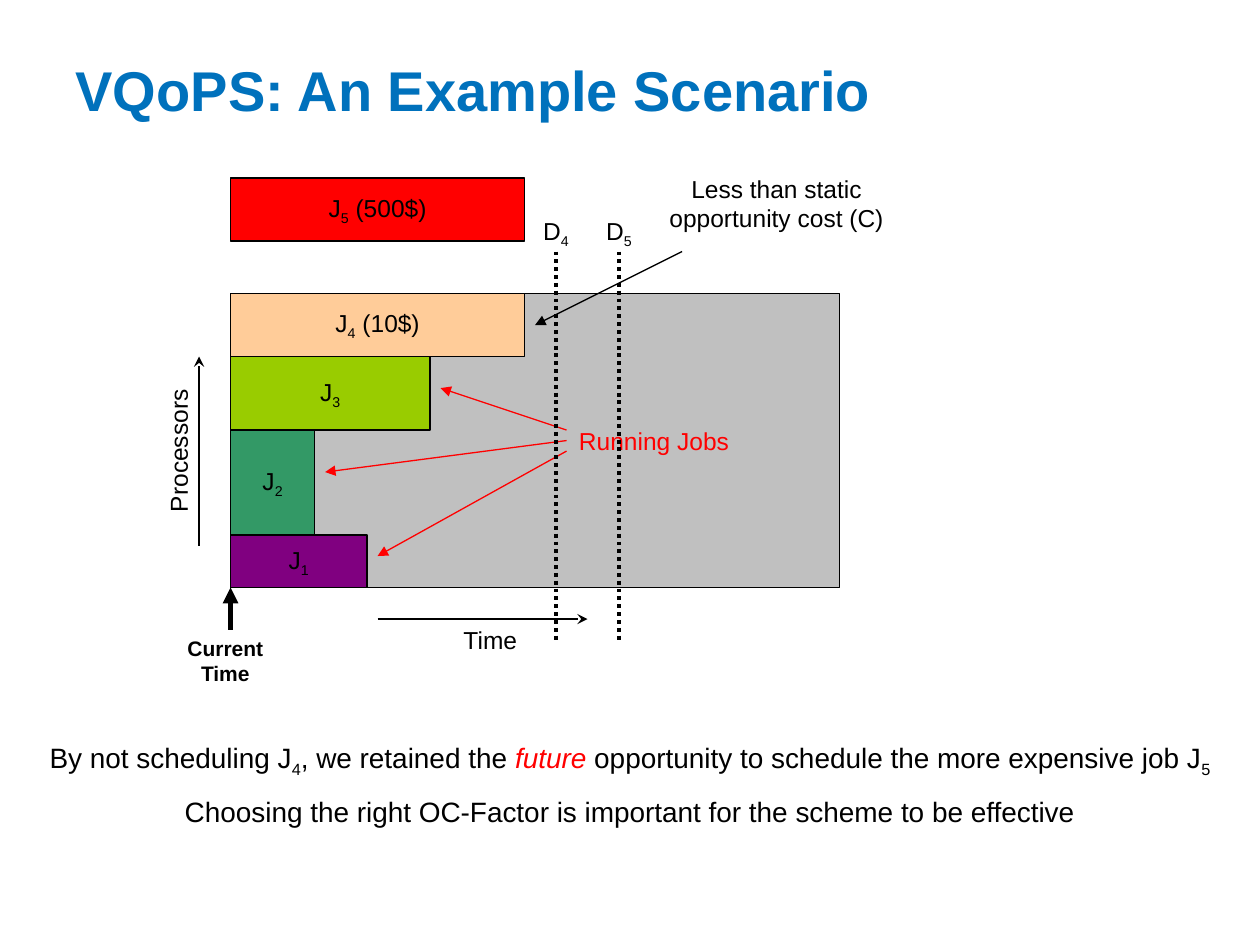
from dataclasses import dataclass

from lxml.etree import SubElement
from pptx import Presentation
from pptx.dml.color import RGBColor
from pptx.enum.dml import MSO_LINE
from pptx.enum.shapes import MSO_CONNECTOR, MSO_SHAPE
from pptx.enum.text import MSO_ANCHOR, PP_ALIGN
from pptx.oxml.ns import qn
from pptx.util import Inches, Pt


@dataclass(frozen=True)
class Theme:
    font: str = "Arial"
    title: str = "0071BC"
    ink: str = "000000"
    accent: str = "FF0000"
    area: str = "C0C0C0"
    j1: str = "800080"
    j2: str = "339966"
    j3: str = "99CC00"
    j4: str = "FFCC99"
    j5: str = "FF0000"
    title_size: int = 32
    note_size: int = 16
    label_size: int = 14
    small_size: int = 12


T = Theme()
GRID = 1 / 12  # the diagram is laid out in twelfths of an inch


def rgb(color):
    return RGBColor.from_string(color)


def write(p, text, size=T.label_size, color=T.ink, bold=False, align=PP_ALIGN.CENTER):
    """Fill a paragraph; _x_ marks a subscript and *x* an emphasised word."""
    p.alignment = align
    f = p.font
    f.name, f.size, f.bold = T.font, Pt(size), bold
    f.color.rgb = rgb(color)
    for i, part in enumerate(text.split("_")):
        for j, piece in enumerate(part.split("*")):
            if not piece:
                continue
            r = p.add_run()
            r.text = piece
            if i % 2:
                r._r.get_or_add_rPr().set("baseline", "-25000")
            if j % 2:
                r.font.italic = True
                r.font.color.rgb = rgb(T.accent)


def grid_box(origin, x, y, w, h):
    """Turn grid cells, counted from an origin in inches, into lengths."""
    left, top = origin
    return (Inches(left + x * GRID), Inches(top + y * GRID),
            Inches(w * GRID), Inches(h * GRID))


def add_block(s, box, color, text=""):
    sp = s.shapes.add_shape(MSO_SHAPE.RECTANGLE, *box)
    sp.shadow.inherit = False
    sp.fill.solid()
    sp.fill.fore_color.rgb = rgb(color)
    sp.line.color.rgb = rgb(T.ink)
    sp.line.width = Pt(0.75)
    if text:
        tf = sp.text_frame
        tf.word_wrap = False
        tf.vertical_anchor = MSO_ANCHOR.MIDDLE
        write(tf.paragraphs[0], text)
    return sp


def add_label(s, box, text, **style):
    sp = s.shapes.add_textbox(*box)
    sp.text_frame.word_wrap = True
    write(sp.text_frame.paragraphs[0], text, **style)
    return sp


def add_line(s, origin, start, end, color=T.ink, width=0.75, arrow=None, dash=None):
    x1, y1, x2, y2 = grid_box(origin, *start, 0, 0)[:2] + grid_box(origin, *end, 0, 0)[:2]
    line = s.shapes.add_connector(MSO_CONNECTOR.STRAIGHT, x1, y1, x2, y2)
    line.line.color.rgb = rgb(color)
    line.line.width = Pt(width)
    if dash:
        line.line.dash_style = dash
    if arrow:
        SubElement(line.line._get_or_add_ln(), qn("a:tailEnd"), type=arrow)
    SubElement(line._element.spPr, qn("a:effectLst"))


def add_title(s, left, top, width, height):
    title = s.shapes.title
    title.left, title.top = Inches(left), Inches(top)
    title.width, title.height = Inches(width), Inches(height)
    title.text_frame.vertical_anchor = MSO_ANCHOR.MIDDLE
    write(title.text_frame.paragraphs[0], "VQoPS: An Example Scenario",
          T.title_size, T.title, True, PP_ALIGN.LEFT)


def add_schedule(s, origin, width, height):
    """Processor-time area with its jobs, axes and running-job arrows."""
    add_block(s, grid_box(origin, 0, 0, width, height), T.area)

    # Jobs stacked from the bottom: label, colour, duration, processors
    jobs = [("J_1_", T.j1, 13, 5), ("J_2_", T.j2, 8, 10),
            ("J_3_", T.j3, 19, 7), ("J_4_ (10$)", T.j4, 28, 6)]
    y = height
    for text, color, w, h in jobs:
        y -= h
        add_block(s, grid_box(origin, 0, y, w, h), color, text)

    # Axes
    add_line(s, origin, (14, height + 3), (34, height + 3), arrow="stealth")
    add_label(s, grid_box(origin, 21, height + 3, 9, 4), "Time", align=PP_ALIGN.LEFT)
    add_line(s, origin, (-3, 24), (-3, 6), arrow="stealth")
    processors = add_label(s, grid_box(origin, -12.5, 12.5, 15, 4), "Processors",
                           align=PP_ALIGN.LEFT)
    processors.rotation = 270

    # Current time
    add_line(s, origin, (0, height + 4), (0, height), width=3, arrow="triangle")
    add_label(s, grid_box(origin, -7, height + 4, 13, 6), "Current Time",
              size=T.small_size, bold=True)

    # Running jobs
    for i, tip in enumerate([(20, 9), (9, 17), (14, 25)]):
        add_line(s, origin, (32, 13 + i), tip, T.accent, arrow="triangle")
    add_label(s, grid_box(origin, 32, 12, 18, 4), "Running Jobs",
              color=T.accent, align=PP_ALIGN.LEFT)


def add_arrival(s, origin):
    """Late job, the two deadlines and the cost remark above the schedule."""
    add_block(s, grid_box(origin, 0, -11, 28, 6), T.j5, "J_5_ (500$)")
    for text, x in [("D_4_", 31), ("D_5_", 37)]:
        add_line(s, origin, (x, -4), (x, 33), width=2.25, dash=MSO_LINE.ROUND_DOT)
        add_label(s, grid_box(origin, x - 3, -8, 6, 4), text)
    add_line(s, origin, (43, -4), (29, 3), arrow="triangle")
    cost = add_label(s, grid_box(origin, 41, -12, 22, 6.8),
                     "Less than static opportunity cost (C)")
    cost.text_frame.margin_left = cost.text_frame.margin_right = 0


def add_conclusion(s, left, top, width, height):
    box = [Inches(v) for v in (left, top, width, height)]
    sp = add_label(s, box, "By not scheduling J_4_, we retained the *future* opportunity "
                   "to schedule the more expensive job J_5_", size=T.note_size)
    p = sp.text_frame.add_paragraph()
    p.space_before = Pt(9)
    write(p, "Choosing the right OC-Factor is important for the scheme to be effective",
          T.note_size)


def main():
    prs = Presentation()
    prs.slide_width, prs.slide_height = Inches(10), Inches(7.5)
    s = prs.slides.add_slide(prs.slide_layouts[5])
    origin = (1.83, 2.33)
    add_title(s, 0.5, 0.17, 9, 1.08)
    add_schedule(s, origin, 58, 28)
    add_arrival(s, origin)
    add_conclusion(s, 0.25, 5.83, 9.5, 0.77)
    prs.save("out.pptx")


if __name__ == "__main__":
    main()
